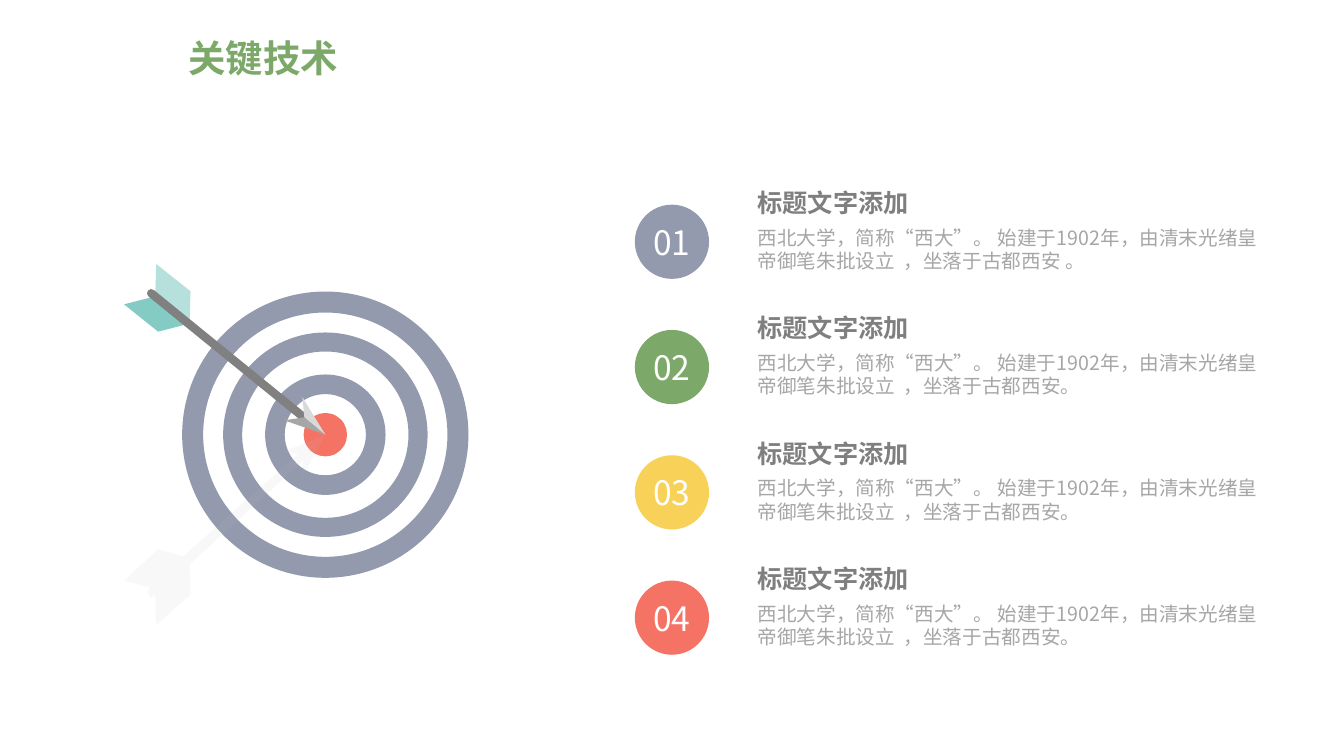
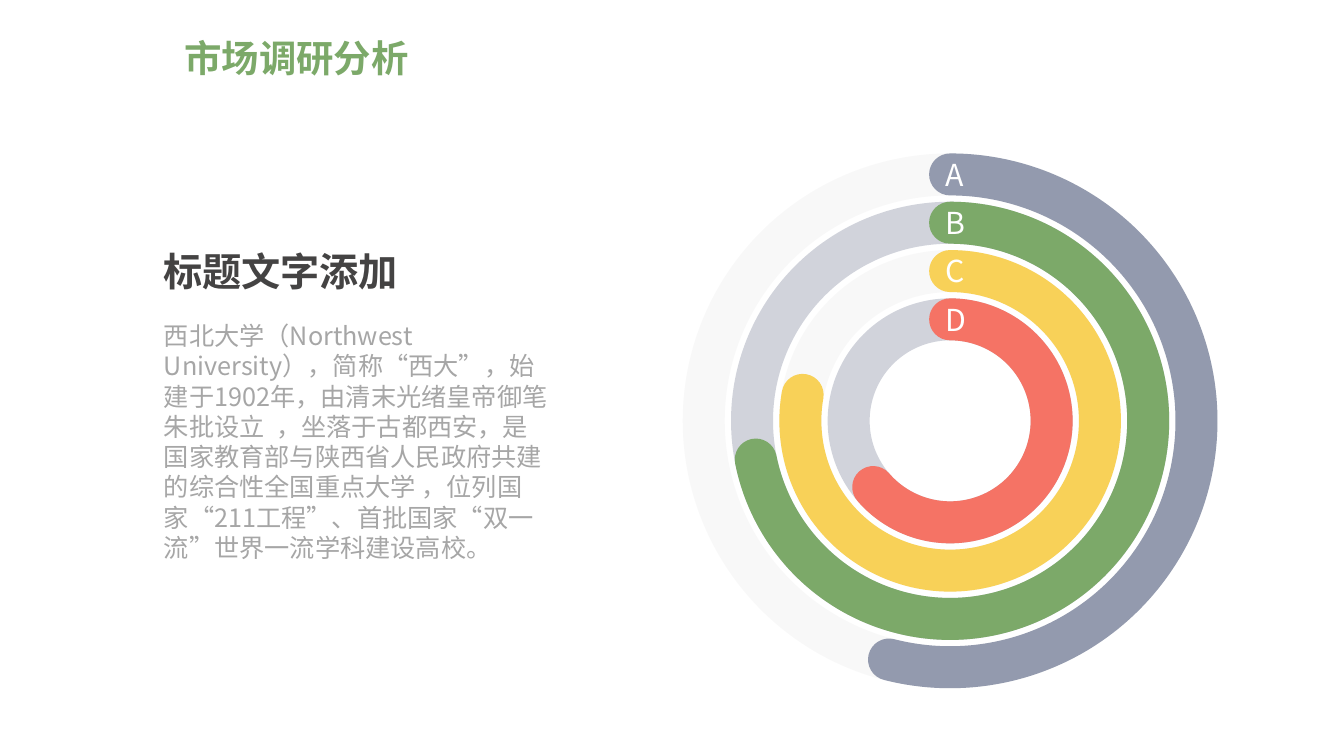
from lxml.etree import SubElement
from pptx import Presentation
from pptx.dml.color import RGBColor
from pptx.enum.shapes import MSO_CONNECTOR, MSO_SHAPE
from pptx.enum.text import MSO_ANCHOR, PP_ALIGN
from pptx.oxml.ns import qn
from pptx.util import Pt

FONT = "Noto Sans CJK SC"
COLORS = {
    "slate": "939AAE", "green": "7CA969", "yellow": "F8D158", "red": "F57365",
    "teal": "84CBC3", "pale_teal": "B5E0DB", "shaft": "808080",
    "gray": "A6A6A6", "light_gray": "D9D9D9", "shadow": "BFBFBF",
    "track": "67708A", "heading": "7F7F7F", "dark": "444343", "white": "FFFFFF",
}
RGB = {name: RGBColor.from_string(value) for name, value in COLORS.items()}
SERIES = ["slate", "green", "yellow", "red"]


def write(sp, text, size, color, bold=False, anchor=MSO_ANCHOR.TOP, wrap=True):
    tf = sp.text_frame
    tf.word_wrap = wrap
    tf.vertical_anchor = anchor
    tf.text = text
    p = tf.paragraphs[0]
    p.line_spacing = Pt(size * 1.2)
    r = p.runs[0]
    r.font.size = Pt(size)
    r.font.bold = bold
    r.font.color.rgb = RGB[color]
    r.font.name = FONT
    SubElement(r._r.get_or_add_rPr(), qn("a:ea"), typeface=FONT)
    return p


def paint(sp, fill=None, line=None, width=0, alpha=100):
    """Give a shape a flat fill or outline, with alpha as a percentage."""
    sp.shadow.inherit = False
    for part, color in ((sp.fill, fill), (sp.line.fill, line)):
        if color:
            part.solid()
            part.fore_color.rgb = RGB[color]
        else:
            part.background()
    if line:
        sp.line.width = Pt(width)
    if alpha < 100:
        for clr in sp._element.spPr.iter(qn("a:srgbClr")):
            SubElement(clr, qn("a:alpha"), val=str(alpha * 1000))


prs = Presentation()
prs.slide_width, prs.slide_height = Pt(960), Pt(540)
slides = []
for title, left, width in (("关键技术", 127.5, 148), ("市场调研分析", 124.5, 262)):
    s = prs.slides.add_slide(prs.slide_layouts[6])
    box = s.shapes.add_textbox(Pt(left), Pt(18), Pt(width), Pt(46))
    write(box, title, 26.7, "green", True, MSO_ANCHOR.MIDDLE)
    slides.append(s)

# Slide 1: target, arrow and numbered list
s = slides[0]
tip = (232.4, 310.5)
bullseye = s.shapes.add_shape(
    MSO_SHAPE.OVAL, Pt(tip[0] - 15.5), Pt(tip[1] - 15.5), Pt(31), Pt(31))
paint(bullseye, "red")
for diameter, band in ((204.5, 15), (146, 13.6), (86, 14)):
    ring = s.shapes.add_shape(
        MSO_SHAPE.DONUT, Pt(tip[0] - diameter / 2), Pt(tip[1] - diameter / 2),
        Pt(diameter), Pt(diameter))
    ring.adjustments[0] = band / diameter
    paint(ring, "slate")

feather_root, feather_end, notch = (135.4, 231.1), (110.9, 211.7), (217.4, 298.1)
arrow_parts = [
    ("teal", 100, [feather_root, (113, 236.9), (88.6, 217.4), feather_end]),
    ("pale_teal", 100, [feather_root, (136.1, 208.1), (111.6, 188.6), feather_end]),
    ("shaft", 100, [(108, 209.5), (224, 303.8)]),
    ("gray", 100, [(203, 300.2), tip, notch]),
    ("light_gray", 100, [notch, tip, (216, 283.7)]),
    ("shadow", 10, [
        tip, (216, 340.6), (216.7, 329), (135.4, 403.2), (136.1, 424.8),
        (111.6, 446.4), (110.9, 425.5), (107.5, 427), (105.5, 423),
        (107.3, 419.8), (88.6, 414.7), (113, 392.4), (131, 397.4),
        (213.1, 324), (203, 322.6)]),
]
for color, alpha, points in arrow_parts:
    points = [(Pt(x), Pt(y)) for x, y in points]
    if len(points) == 2:
        shaft = s.shapes.add_connector(MSO_CONNECTOR.STRAIGHT, *points[0], *points[1])
        shaft.line.color.rgb = RGB[color]
        shaft.line.width = Pt(6)
        spPr = shaft._element.spPr
        spPr.find(qn("a:ln")).set("cap", "rnd")
        SubElement(spPr, qn("a:effectLst"))
    else:
        builder = s.shapes.build_freeform(*points[0])
        builder.add_line_segments(points[1:])
        paint(builder.convert_to_shape(), color, alpha=alpha)

intro = "西北大学，简称“西大”。 始建于1902年，由清末光绪皇帝御笔朱批设立  ，坐落于古都西安"
for i, color in enumerate(SERIES):
    top = 130.2 + 89.5 * i
    badge = s.shapes.add_shape(
        MSO_SHAPE.OVAL, Pt(453.5), Pt(top + 16), Pt(53), Pt(53))
    paint(badge, color)
    p = write(badge, f"{i + 1:02}", 24, "white", anchor=MSO_ANCHOR.MIDDLE)
    p.alignment = PP_ALIGN.CENTER
    tf = badge.text_frame
    tf.margin_left = tf.margin_right = tf.margin_top = tf.margin_bottom = 0
    box = s.shapes.add_textbox(Pt(534), Pt(top), Pt(281), Pt(29))
    write(box, "标题文字添加", 18, "heading", True)
    box = s.shapes.add_textbox(Pt(534), Pt(top + 27.4), Pt(383), Pt(41))
    write(box, intro + ("。" if i else " 。"), 14, "gray")

# Slide 2: text and concentric progress rings
s = slides[1]
box = s.shapes.add_textbox(Pt(109.5), Pt(173), Pt(281), Pt(41))
write(box, "标题文字添加", 28, "dark", True)
box = s.shapes.add_textbox(Pt(110), Pt(225.4), Pt(291.6), Pt(181.4))
write(box, "西北大学（Northwest University），简称“西大”，始建于1902年，"
      "由清末光绪皇帝御笔朱批设立  ，坐落于古都西安，是国家教育部与陕西省人民政府"
      "共建的综合性全国重点大学 ，位列国家“211工程”、首批国家“双一流”世界一流"
      "学科建设高校。", 18, "gray")

center_x, center_y = 678.7, 300.6
tracks = [("shadow", 10), ("track", 30)]
end_angles = [104.35, 168.72, 189.99, 139.28]
for i, (letter, color, end) in enumerate(zip("ABCD", SERIES, end_angles)):
    diameter = 352 - 69 * i
    frame = [Pt(center_x - diameter / 2), Pt(center_y - diameter / 2),
             Pt(diameter), Pt(diameter)]
    track_color, alpha = tracks[i % 2]
    track = s.shapes.add_shape(MSO_SHAPE.OVAL, *frame)
    paint(track, line=track_color, width=30, alpha=alpha)
    arc = s.shapes.add_shape(MSO_SHAPE.ARC, *frame)
    # Arc adjustments are 0.6 per degree, clockwise from three o'clock
    arc.adjustments[0] = 270 * 0.6
    arc.adjustments[1] = end * 0.6
    paint(arc, line=color, width=30)
    arc._element.spPr.find(qn("a:ln")).set("cap", "rnd")
    box = s.shapes.add_textbox(Pt(668), Pt(108 + 34.5 * i), Pt(30), Pt(30))
    write(box, letter, 21.6, "white", wrap=False)

prs.save("out.pptx")
